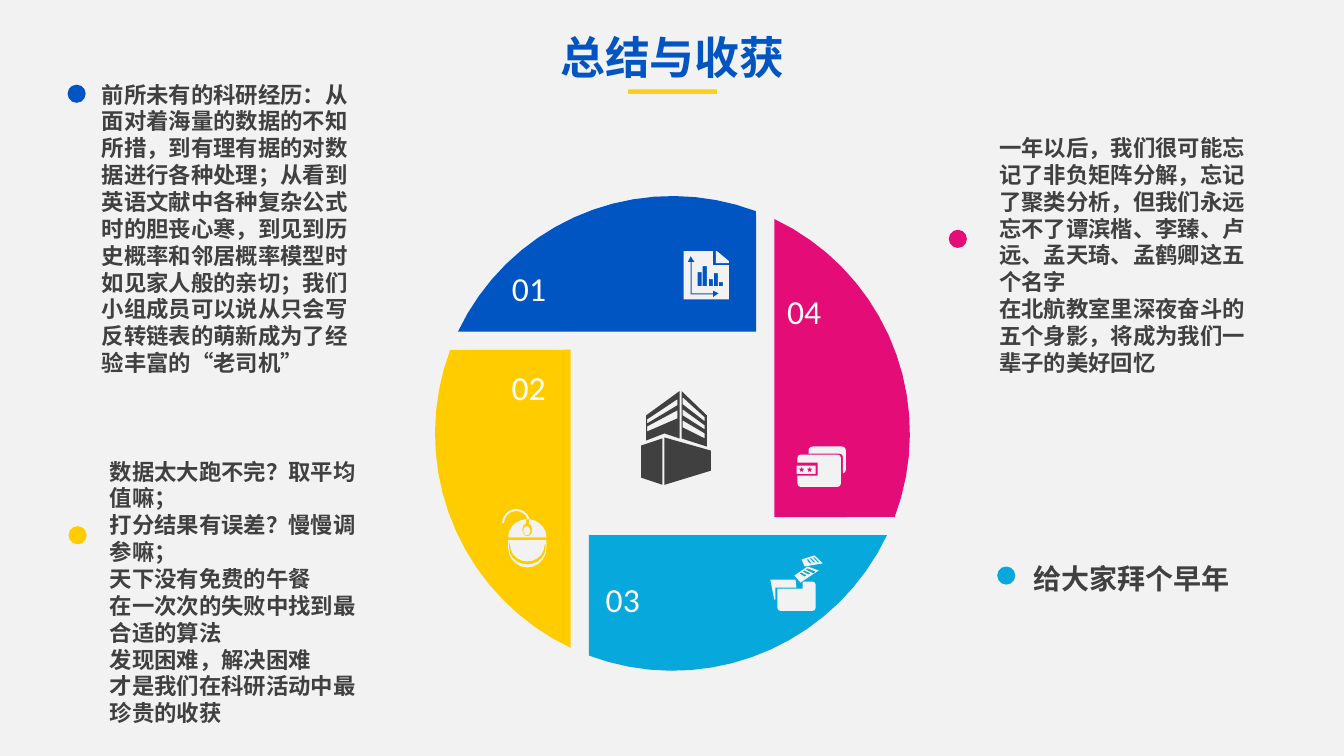
from math import ceil, cos, radians, sin, sqrt

from lxml.etree import SubElement
from pptx import Presentation
from pptx.dml.color import RGBColor
from pptx.enum.shapes import MSO_CONNECTOR, MSO_SHAPE
from pptx.enum.text import MSO_ANCHOR, MSO_AUTO_SIZE, PP_ALIGN
from pptx.oxml.ns import qn
from pptx.util import Pt

PX = 9144  # 100 px to the inch
BLUE, YELLOW, CYAN, PINK = "0055C2", "FFCC00", "07A8DC", "E40C77"
DARK, PALE, WHITE = "404040", "F2F2F2", "FFFFFF"
CJK = "Noto Sans CJK SC"

NUMBERS = [  # text, left, top, alignment
    ("01", 498, 261, PP_ALIGN.LEFT),
    ("02", 488, 359, PP_ALIGN.RIGHT),
    ("03", 591, 569, PP_ALIGN.LEFT),
    ("04", 771, 284, PP_ALIGN.LEFT),
]

NOTES = [  # dot colour, dot corner, text box, font, size, paragraphs
    (BLUE, (67, 84), (91, 75, 285, 306), CJK, 16, [
        "前所未有的科研经历：从面对着海量的数据的不知所措，到有理有据的对数据进行各种处理；"
        "从看到英语文献中各种复杂公式时的胆丧心寒，到见到历史概率和邻居概率模型时如见家人般的亲切；"
        "我们小组成员可以说从只会写反转链表的萌新成为了经验丰富的“老司机”"]),
    (YELLOW, (68, 522), (99, 449, 285, 279), CJK, 16, [
        "数据太大跑不完？取平均值嘛；",
        "打分结果有误差？慢慢调参嘛；",
        "天下没有免费的午餐",
        "在一次次的失败中找到最合适的算法",
        "发现困难，解决困难",
        "才是我们在科研活动中最珍贵的收获"]),
    (PINK, (941, 228), (981, 128, 285, 252), CJK, 16, [
        "一年以后，我们很可能忘记了非负矩阵分解，忘记了聚类分析，"
        "但我们永远忘不了谭滨楷、李臻、卢远、孟天琦、孟鹤卿这五个名字",
        "在北航教室里深夜奋斗的五个身影，将成为我们一辈子的美好回忆"]),
    (CYAN, (989, 562), (1015, 552, 285, 44), "Calibri", 20, ["给大家拜个早年"]),
]


def rgb(color):
    return RGBColor.from_string(color)


def place(sp, left, top, width, height):
    sp.left, sp.top, sp.width, sp.height = [v * PX for v in (left, top, width, height)]


def add_run(p, text, font, size, color, bold=False):
    r = p.add_run()
    r.text = text
    r.font.name, r.font.size, r.font.bold = font, Pt(size), bold
    r.font.color.rgb = rgb(color)
    SubElement(r.font._element, qn("a:ea"), typeface=CJK)


def paint(sp, color):
    sp.shadow.inherit = False
    sp.fill.solid()
    sp.fill.fore_color.rgb = rgb(color)
    sp.line.fill.background()


# Points of outlines
def arc(cx, cy, rx, ry, start, end):
    # The larger the radius, the smaller the angle of a step
    steps = ceil(abs(end - start) * sqrt(rx) / 80)
    angles = [radians(start + (end - start) * i / steps) for i in range(steps + 1)]
    return [(cx + rx * cos(a), cy + ry * sin(a)) for a in angles]


def rect(left, top, right, bottom):
    return [(left, top), (right, top), (right, bottom), (left, bottom)]


def star(cx, cy, r):
    return [(cx + k * sin(radians(36 * i)), cy - k * cos(radians(36 * i)))
            for i in range(10) for k in [r if i % 2 == 0 else r * 0.45]]


# Elements
def add_outline(s, color, *contours):
    emu = [[(x * PX, y * PX) for x, y in c] for c in contours]
    builder = s.shapes.build_freeform(*emu[0][0], scale=1.0)
    builder.add_line_segments(emu[0][1:], close=True)
    for hole in emu[1:]:
        builder.move_to(*hole[0])
        builder.add_line_segments(hole[1:], close=True)
    paint(builder.convert_to_shape(), color)


def add_ellipse(s, color, *box):
    paint(s.shapes.add_shape(MSO_SHAPE.OVAL, *[v * PX for v in box]), color)


def add_title(s, text):
    sp = s.shapes.title
    place(sp, 392, 14, 550, 70)
    tf = sp.text_frame
    tf.auto_size, tf.vertical_anchor = MSO_AUTO_SIZE.NONE, MSO_ANCHOR.TOP
    p = tf.paragraphs[0]
    p.alignment, p.line_spacing = PP_ALIGN.CENTER, 1.2
    add_run(p, text, "Calibri", 32, BLUE, True)

    line = s.shapes.add_connector(MSO_CONNECTOR.STRAIGHT, 623 * PX, 91 * PX, 711 * PX, 91 * PX)
    line.line.color.rgb, line.line.width = rgb(YELLOW), Pt(3.25)
    color = line._element.spPr.find(".//" + qn("a:srgbClr"))
    SubElement(color, qn("a:alpha"), val="90000")
    SubElement(line._element.spPr, qn("a:effectLst"))


def add_note(s, sp, color, corner, box, font, size, paragraphs):
    add_ellipse(s, color, *corner, 18, 18)
    place(sp, *box)
    tf = sp.text_frame
    tf.word_wrap = True
    tf.auto_size, tf.vertical_anchor = MSO_AUTO_SIZE.NONE, MSO_ANCHOR.TOP
    for i, text in enumerate(paragraphs):
        p = tf.add_paragraph() if i else tf.paragraphs[0]
        p.space_before = Pt(0)
        pPr = p._p.get_or_add_pPr()
        pPr.set("marL", "0")
        pPr.set("indent", "0")
        SubElement(pPr, qn("a:buNone"))
        add_run(p, text, font, size, DARK, True)


def add_number(s, text, left, top, alignment):
    tf = s.shapes.add_textbox(left * PX, top * PX, 63 * PX, 50 * PX).text_frame
    tf.word_wrap = True
    p = tf.paragraphs[0]
    p.alignment = alignment
    add_run(p, text, "Calibri", 24, WHITE)


def add_wheel(s):
    # One segment, turned by a quarter for each of the others
    points = arc(0, 0, 235.5, 235.5, 205.4, 290.6) + [(83, -101)]
    for color in (BLUE, YELLOW, CYAN, PINK):
        add_outline(s, color, [(667 + x, 430 + y) for x, y in points])
        points = [(y, -x) for x, y in points]


# Icons
def add_report_icon(s):
    add_outline(s, PALE, [(711, 249), (723, 259), (723, 261), (710, 261), (710, 249)])
    bars = [(692, 270), (697, 264), (703, 277), (708, 271), (713, 280)]
    axes = [(685, 254), (682, 260), (685, 260), (685, 292), (707, 292), (707, 295),
            (713, 291), (707, 288), (707, 291), (686, 291), (686, 260), (689, 260)]
    page = [(678, 249), (707, 249), (707, 263), (723, 263), (723, 297), (678, 297)]
    add_outline(s, PALE, page, axes, *[rect(x, y, x + 4, 284) for x, y in bars])


def add_mouse_icon(s):
    body = [(504, 536)] + arc(523, 544, 19, 19, 180, 0) + [(542, 536)]
    stripe = (arc(523, 544, 18, 16, 0, 180) + [(505, 539), (506, 539)]
              + arc(523, 541, 17, 16, 180, 0) + [(541, 539)])
    add_outline(s, PALE, body, stripe)
    add_outline(s, PALE, arc(523, 533, 19, 18, 180, 267)
                + arc(523, 525.5, 5, 6.5, -107, -433) + arc(523, 533, 19, 18, 276, 360))
    add_ellipse(s, PALE, 519, 522, 7, 9)
    add_outline(s, PALE, arc(512, 519, 14, 14, 180, 343) + arc(512, 519, 12, 12, 343, 180))


def add_folder_icon(s):
    add_outline(s, PALE, [(816, 559), (798, 562), (795, 555), (808, 551)],
                [(811, 558), (813, 558), (808, 553), (806, 553)],
                [(809, 558), (805, 554), (803, 554), (807, 558)],
                [(805, 559), (802, 555), (800, 555), (803, 559)])
    add_outline(s, PALE, [(812, 566), (794, 578), (788, 571), (801, 562)],
                [(807, 569), (809, 567), (801, 564), (799, 565)],
                [(802, 570), (804, 569), (798, 566), (796, 567)],
                [(798, 572), (800, 571), (795, 568), (793, 569)])
    add_outline(s, PALE, [(796, 577)] + arc(806, 580, 3, 3, -90, 0) + arc(806, 603, 3, 3, 0, 90)
                + arc(774, 603, 3, 3, 90, 180) + [(771, 584), (796, 584)])
    add_outline(s, PALE, [(789, 575), (790, 583), (769, 583), (769, 595), (768, 595), (764, 575)])


def add_wallet_icon(s):
    add_outline(s, PALE, arc(831, 454, 3, 3, -90, 0) + arc(831, 480, 3, 3, 0, 90)
                + arc(794, 480, 3, 3, 90, 180) + [(791, 472), (811, 472), (811, 459), (791, 459)]
                + arc(794, 454, 3, 3, 180, 270))
    add_outline(s, PALE, rect(790, 462, 809, 470), star(795, 466, 3), star(803, 466, 3))
    add_outline(s, PALE, [(802, 450)] + arc(806, 447, 4, 4, 180, 270)
                + arc(835, 447, 4, 4, 270, 360) + arc(835, 466, 4, 4, 0, 75)
                + arc(832, 453, 4, 3, 0, -90))


def add_building_icon(s):
    add_outline(s, DARK, [(705, 447), (705, 467), (659, 481), (659, 434)])
    add_outline(s, DARK, [(657, 435), (657, 481), (636, 474), (636, 442)])
    add_outline(s, DARK, [(701, 412), (701, 443), (676, 435), (676, 388)],
                [(699, 435), (699, 430), (677, 417), (677, 424)],
                [(699, 426), (699, 422), (677, 406), (677, 412)],
                [(699, 418), (699, 414), (677, 394), (677, 401)])
    add_outline(s, DARK, [(641, 437), (641, 412), (674, 388), (674, 435), (659, 430)],
                [(642, 423), (642, 428), (672, 415), (672, 407)],
                [(642, 416), (642, 420), (672, 402), (672, 396)])


def main():
    prs = Presentation()
    prs.slide_width, prs.slide_height = 1333 * PX, 750 * PX
    s = prs.slides.add_slide(prs.slide_layouts[4])
    s.background.fill.solid()
    s.background.fill.fore_color.rgb = rgb(PALE)

    add_title(s, "总结与收获")
    add_wheel(s)
    for add_icon in (add_report_icon, add_mouse_icon, add_folder_icon,
                     add_wallet_icon, add_building_icon):
        add_icon(s)
    for number in NUMBERS:
        add_number(s, *number)
    bodies = list(s.placeholders)[1:]
    for sp, note in zip(bodies, NOTES):
        add_note(s, sp, *note)
    prs.save("out.pptx")


if __name__ == "__main__":
    main()
